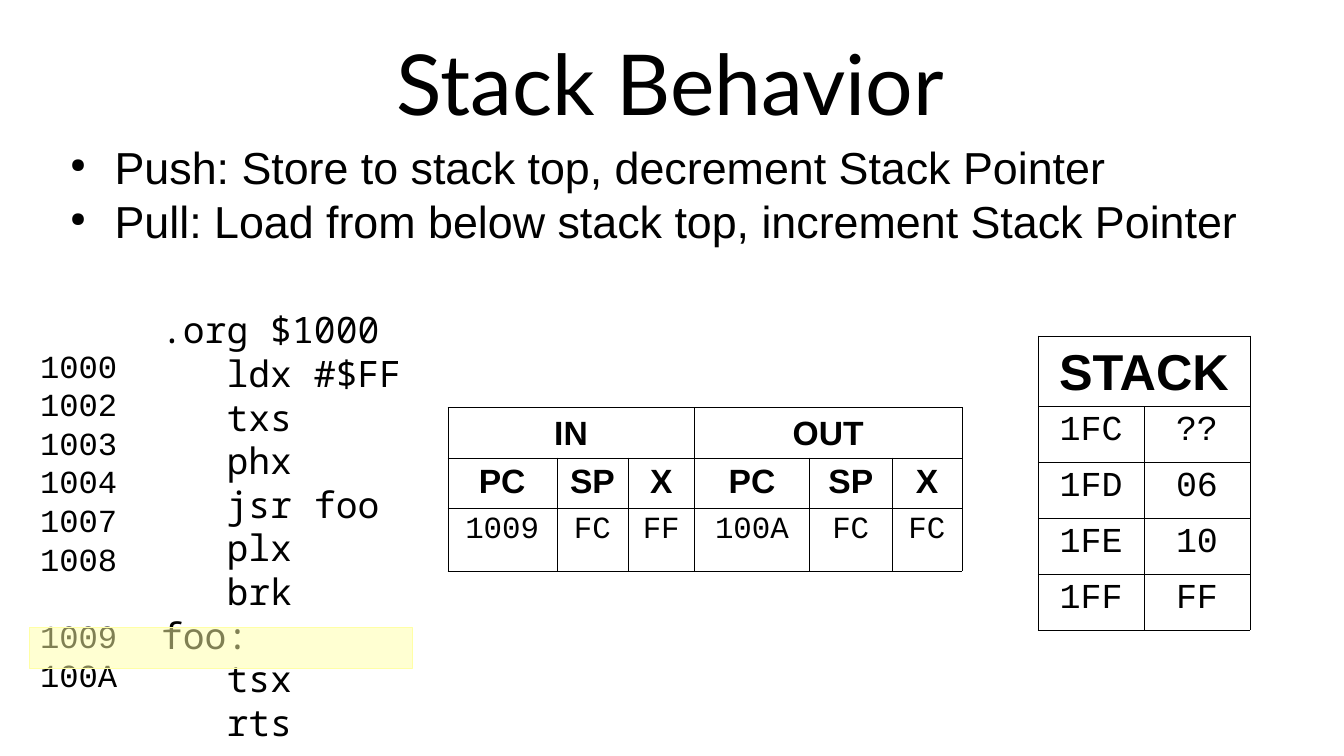
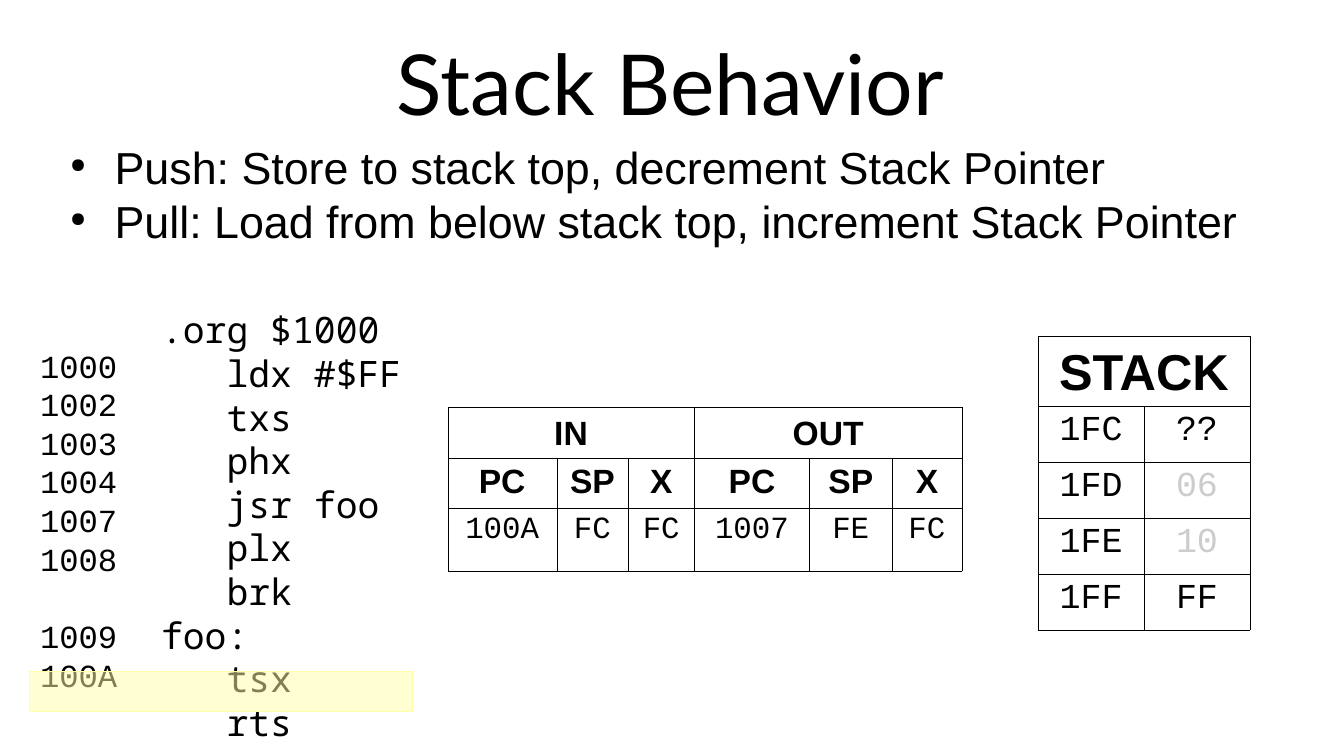
"""Build two slides that trace a stack through a subroutine call."""
from dataclasses import dataclass
from typing import Optional

from lxml.etree import SubElement as Sub
from pptx import Presentation
from pptx.dml.color import RGBColor as Rgb
from pptx.enum.shapes import MSO_SHAPE as Kind
from pptx.enum.text import MSO_ANCHOR as Anchor, PP_ALIGN as Align
from pptx.oxml.ns import qn
from pptx.slide import Slide
from pptx.table import _Cell as Cell
from pptx.text.text import _Paragraph as Para
from pptx.util import Cm, Pt


@dataclass(frozen=True)
class Style:
    font: str
    size: int
    bold: bool = False


@dataclass(frozen=True)
class Theme:
    ink: str = "000000"
    paper: str = "FFFFFF"
    faded: str = "CCCCCC"
    mark: str = "FFFFA6"
    title: Style = Style("Lato", 60)
    body: Style = Style("Arial", 32)
    code: Style = Style("Noto Sans Mono", 26)
    addr: Style = Style("Courier New", 23)
    head: Style = Style("Arial", 24, True)
    state: Style = Style("Courier New", 22)
    banner: Style = Style("Arial", 36, True)
    stack: Style = Style("Courier New", 25)


@dataclass(frozen=True)
class Box:
    left: float
    top: float
    width: float
    height: float

    def place(self) -> tuple[Cm, Cm, Cm, Cm]:
        return Cm(self.left), Cm(self.top), Cm(self.width), Cm(self.height)


@dataclass(frozen=True)
class Grid:
    left: float
    top: float
    cols: list[float]
    rows: list[float]
    text: list[list[str]]
    styles: list[Style]
    span: int
    faded: frozenset[str] = frozenset()


@dataclass(frozen=True)
class Step:
    line: int
    state: list[str]
    popped: frozenset[str] = frozenset()


THEME = Theme()
NOTES = [
    "Push: Store to stack top, decrement Stack Pointer",
    "Pull: Load from below stack top, increment Stack Pointer",
]
CODE = [
    ".org $1000", "   ldx #$FF", "   txs", "   phx", "   jsr foo",
    "   plx", "   brk", "foo:", "   tsx", "   rts",
]
ADDRS = ["1000", "1002", "1003", "1004", "1007", "1008", "1009", "100A"]
STACK = [["1FC", "??"], ["1FD", "06"], ["1FE", "10"], ["1FF", "FF"]]
STEPS = [
    Step(7, ["1009", "FC", "FF", "100A", "FC", "FC"]),
    Step(8, ["100A", "FC", "FC", "1007", "FE", "FC"], frozenset({"06", "10"})),
]


def paint(para: Para, style: Style, color: str = THEME.ink) -> None:
    for run in para.runs:
        font = run.font
        font.name, font.size, font.bold = style.font, Pt(style.size), style.bold
        font.color.rgb = Rgb.from_string(color)


def write(slide: Slide, box: Box, lines: list[str], style: Style) -> list[Para]:
    frame = slide.shapes.add_textbox(*box.place()).text_frame
    frame.word_wrap = True
    frame.text = "\n".join(lines)
    for para in frame.paragraphs:
        paint(para, style)
    return list(frame.paragraphs)


def bullet(para: Para) -> None:
    props = para._p.get_or_add_pPr()
    props.set("marL", str(Cm(1.12)))
    props.set("indent", str(-Cm(1.12)))
    Sub(Sub(props, qn("a:buClr")), qn("a:srgbClr"), val=THEME.ink)
    Sub(props, qn("a:buSzPct"), val="45000")
    Sub(props, qn("a:buChar"), char="●")


def border(cell: Cell) -> None:
    props = cell._tc.get_or_add_tcPr()
    for side in ("lnL", "lnR", "lnT", "lnB"):
        line = Sub(props, qn(f"a:{side}"), w=str(Pt(0.06)))
        fill = Sub(line, qn("a:solidFill"))
        Sub(fill, qn("a:srgbClr"), val=THEME.ink)


def draw(slide: Slide, grid: Grid) -> None:
    box = Box(grid.left, grid.top, sum(grid.cols), sum(grid.rows))
    size = len(grid.rows), len(grid.cols)
    table = slide.shapes.add_table(*size, *box.place()).table
    table.first_row = table.horz_banding = False
    for col, width in zip(table.columns, grid.cols):
        col.width = Cm(width)
    for row, height in zip(table.rows, grid.rows):
        row.height = Cm(height)
    for start in range(0, len(grid.cols), grid.span):
        table.cell(0, start).merge(table.cell(0, start + grid.span - 1))
    for r, (words, style) in enumerate(zip(grid.text, grid.styles)):
        for c in range(len(grid.cols)):
            cell = table.cell(r, c)
            border(cell)
            cell.fill.solid()
            cell.fill.fore_color.rgb = Rgb.from_string(THEME.paper)
            if cell.is_spanned:
                continue
            word = words[c] if r else words[c // grid.span]
            cell.vertical_anchor = Anchor.TOP if r else Anchor.BOTTOM
            para = cell.text_frame.paragraphs[0]
            para.text = word
            para.alignment = Align.CENTER
            paint(para, style, THEME.faded if word in grid.faded else THEME.ink)


def mark(slide: Slide, line: int) -> None:
    box = Box(0.74, 8.19 + 1.09 * line, 9.65, 1.02)
    shape = slide.shapes.add_shape(Kind.RECTANGLE, *box.place())
    shape.shadow.inherit = False
    shape.fill.solid()
    shape.fill.fore_color.rgb = Rgb.from_string(THEME.mark)
    tint = shape._element.spPr.find(f"{qn('a:solidFill')}/{qn('a:srgbClr')}")
    Sub(tint, qn("a:alpha"), val="50000")
    shape.line.color.rgb = Rgb.from_string(THEME.mark)
    shape.line.width = Pt(0)


def title(slide: Slide, text: str) -> None:
    para = write(slide, Box(0.51, 0.38, 32.77, 3.68), [text], THEME.title)[0]
    para.alignment = Align.CENTER
    para.line_spacing = 0.9
    slide.shapes[-1].text_frame.vertical_anchor = Anchor.MIDDLE


def build(slide: Slide, step: Step, gap: Optional[float] = 27.7) -> None:
    title(slide, "Stack Behavior")
    for para in write(slide, Box(1.52, 3.4, 31.2, 2.79), NOTES, THEME.body):
        bullet(para)
    write(slide, Box(3.81, 7.62, 9.42, 10.92), CODE, THEME.code)
    addrs = write(slide, Box(0.76, 8.59, 3.05, 9.65), ADDRS, THEME.addr)
    addrs[ADDRS.index("1009")].space_before = Pt(gap)
    draw(slide, Grid(
        11.28, 10.26, [2.75, 1.8, 1.67, 2.9, 2.08, 1.76], [1.2, 1.2, 1.59],
        [["IN", "OUT"], ["PC", "SP", "X"] * 2, step.state],
        [THEME.head, THEME.head, THEME.state], 3))
    draw(slide, Grid(
        26.16, 8.46, [2.67] * 2, [1.68] + [1.41] * len(STACK),
        [["STACK"], *STACK],
        [THEME.banner] + [THEME.stack] * len(STACK), 2, step.popped))
    mark(slide, step.line)


def main() -> None:
    deck = Presentation()
    deck.slide_width, deck.slide_height = Cm(33.87), Cm(19.05)
    for step in STEPS:
        build(deck.slides.add_slide(deck.slide_layouts[6]), step)
    deck.save("out.pptx")


if __name__ == "__main__":
    main()
